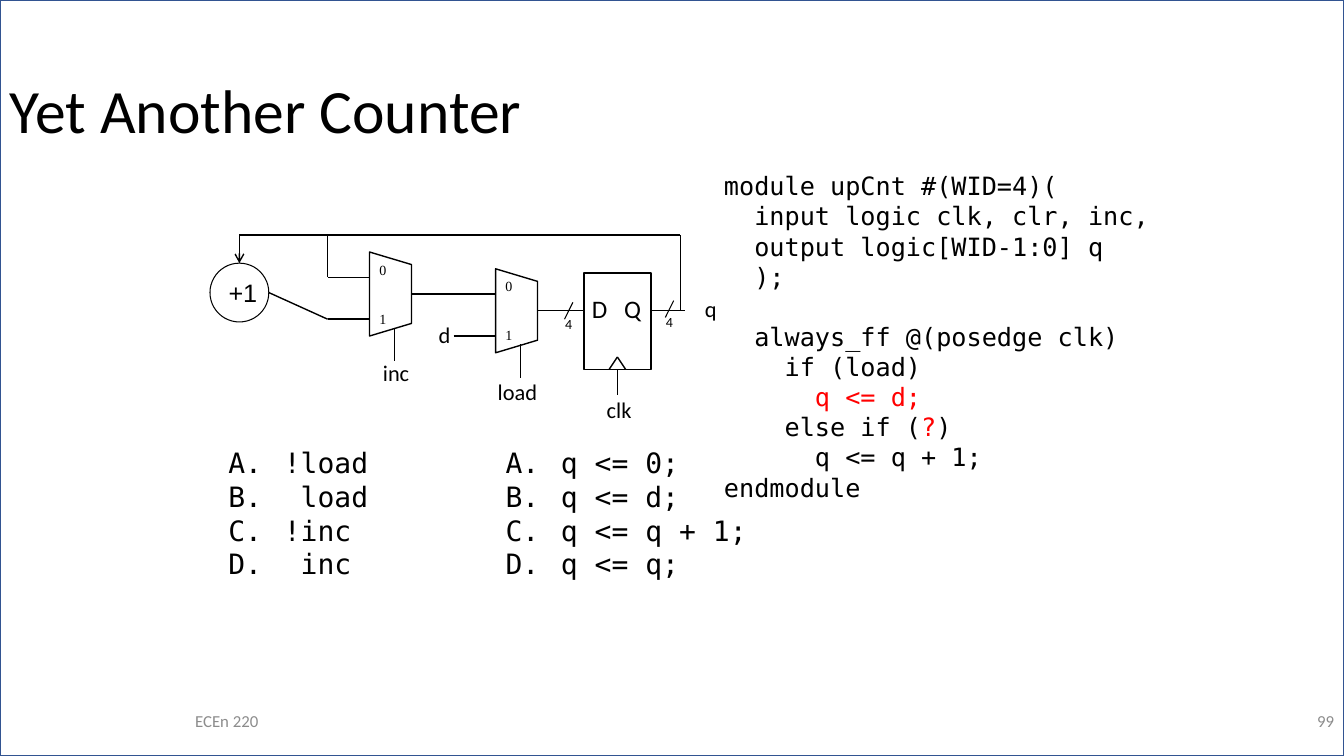
from dataclasses import dataclass
from typing import Optional

import pptx
import pptx.dml.color
import pptx.enum.shapes
import pptx.enum.text
import pptx.oxml.ns
import pptx.util
from lxml import etree

MONO, SANS = "DejaVu Sans Mono", "Calibri"
BLACK, RED, GREY, BLUE, WHITE = "000000", "FF0000", "8C8C8C", "325491", "FFFFFF"
ALIGN = pptx.enum.text.PP_ALIGN
MIDDLE = pptx.enum.text.MSO_ANCHOR.MIDDLE
SHAPE = pptx.enum.shapes.MSO_SHAPE

# The slide is a grid of 160 columns by 90 rows
prs = pptx.Presentation()
prs.slide_width = pptx.util.Inches(13.333)
prs.slide_height = pptx.util.Inches(7.5)
CELL = prs.slide_height / 90
s = prs.slides.add_slide(prs.slide_layouts[6])


@dataclass
class Label:
    text: str
    x: float
    y: float
    w: float
    h: float
    size: float = 16
    color: str = BLACK
    align: Optional[ALIGN] = ALIGN.CENTER
    wrap: bool = False
    middle: bool = False
    spacing: Optional[float] = None


@dataclass
class Mux:
    x: float
    y: float
    out: float


@dataclass
class Choices:
    x: float
    items: list[str]


def grid(n: float) -> int:
    return round(n * CELL)


def rgb(color: str) -> pptx.dml.color.RGBColor:
    return pptx.dml.color.RGBColor.from_string(color)


def add_run(p, text: str, size: float, font: str = SANS, color: str = BLACK) -> None:
    r = p.add_run()
    r.text = text
    r.font.size = pptx.util.Pt(size)
    r.font.name = font
    r.font.color.rgb = rgb(color)


def paragraph(tf, first: bool):
    return tf.paragraphs[0] if first else tf.add_paragraph()


def text_box(x: float, y: float, w: float, h: float, wrap: bool = False):
    tf = s.shapes.add_textbox(grid(x), grid(y), grid(w), grid(h)).text_frame
    tf.word_wrap = wrap
    return tf


def add_label(label: Label) -> None:
    tf = text_box(label.x, label.y, label.w, label.h, label.wrap)
    if label.middle:
        tf.vertical_anchor = MIDDLE
    p = tf.paragraphs[0]
    p.alignment = label.align
    if label.spacing:
        p.line_spacing = label.spacing
    add_run(p, label.text, label.size, color=label.color)


def style(sp, fill: Optional[str], line: str, width: float) -> None:
    sp.shadow.inherit = False
    if fill:
        sp.fill.solid()
        sp.fill.fore_color.rgb = rgb(fill)
    else:
        sp.fill.background()
    sp.line.color.rgb = rgb(line)
    sp.line.width = pptx.util.Pt(width)


def add_block(kind: SHAPE, x: float, y: float, w: float, h: float,
              fill: Optional[str] = WHITE, line: str = BLACK, width: float = 1):
    sp = s.shapes.add_shape(kind, grid(x), grid(y), grid(w), grid(h))
    style(sp, fill, line, width)
    return sp


def add_wire(x1: float, y1: float, x2: float, y2: float, width: float = 1, arrow: bool = False):
    c = s.shapes.add_connector(pptx.enum.shapes.MSO_CONNECTOR.STRAIGHT,
                               grid(x1), grid(y1), grid(x2), grid(y2))
    c.line.color.rgb = rgb(BLACK)
    c.line.width = pptx.util.Pt(width)
    if arrow:
        etree.SubElement(c.line._get_or_add_ln(), pptx.oxml.ns.qn("a:tailEnd"), type="arrow")
    etree.SubElement(c._element.spPr, pptx.oxml.ns.qn("a:effectLst"))
    return c


def add_bus_mark(x: float, y: float) -> None:
    add_wire(x + 1, y, x, y + 2, width=0.75)
    add_label(Label("4", x - 1.1, y + 0.95, 3.4, 3.2, size=10, align=None))


def add_mux(m: Mux) -> None:
    fb = s.shapes.build_freeform(grid(m.x), grid(m.y))
    corners = [(5, 1.5), (5, 8.5), (0, 10)]
    fb.add_line_segments([(grid(m.x + dx), grid(m.y + dy)) for dx, dy in corners], close=True)
    sp = fb.convert_to_shape()
    style(sp, None, BLACK, 1)
    tf = sp.text_frame
    tf.word_wrap = False
    tf.vertical_anchor = MIDDLE
    for i, dy in enumerate((3, 8)):
        p = paragraph(tf, i == 0)
        p.alignment = ALIGN.LEFT
        if i:
            p.space_before = pptx.util.Pt(23)
        add_run(p, str(i), 10, "Times New Roman")
        add_wire(m.x - 5, m.y + dy, m.x, m.y + dy)
    add_wire(m.x + 5, m.y + 5, m.x + 5 + m.out, m.y + 5)
    add_wire(m.x + 3, m.y + 9, m.x + 3, m.y + 13)


def add_choices(c: Choices) -> None:
    tf = text_box(c.x, 52.5, 32, 17.4, wrap=True)
    for i, item in enumerate(c.items):
        p = paragraph(tf, i == 0)
        pPr = p._p.get_or_add_pPr()
        indent = pptx.util.Inches(0.55)
        pPr.set("marL", str(indent))
        pPr.set("indent", str(-indent))
        etree.SubElement(pPr, pptx.oxml.ns.qn("a:buFont"), typeface=MONO)
        etree.SubElement(pPr, pptx.oxml.ns.qn("a:buAutoNum"), type="alphaUcPeriod")
        add_run(p, item, 20, MONO)


# Frame, title and footer
add_block(SHAPE.RECTANGLE, 0, 0, 160, 90, fill=None, line=BLUE)
for label in (
    Label("Yet Another Counter", 0, 4.8, 138, 17.4, size=44, align=None,
          wrap=True, middle=True, spacing=0.9),
    Label("ECEn 220", 0, 83.4, 54, 4.8, size=12, color=GREY, wrap=True, middle=True),
    Label("99", 124, 83.4, 36, 4.8, size=12, color=GREY, align=ALIGN.RIGHT,
          wrap=True, middle=True),
):
    add_label(label)

# Code listing: each line is a list of (text, colour) pieces
CODE = [
    [("module upCnt #(WID=4)(", BLACK)],
    [("  input logic clk, clr, inc,", BLACK)],
    [("  output logic[WID-1:0] q", BLACK)],
    [("  );", BLACK)],
    [("  always_ff @(posedge clk)", BLACK)],
    [("    if (load)", BLACK)],
    [("      ", BLACK), ("q <= d;", RED)],
    [("    else if (", BLACK), ("?", RED), (")", BLACK)],
    [("      q <= q + 1;", BLACK)],
    [("endmodule", BLACK)],
]
tf = text_box(85, 19.7, 53, 41.2)
for i, pieces in enumerate(CODE):
    p = paragraph(tf, i == 0)
    if i == 4:
        p.space_before = pptx.util.Pt(21)
    for text, color in pieces:
        add_run(p, text, 18, MONO, color)

# Register with its clock input
register = add_block(SHAPE.RECTANGLE, 69.5, 32.5, 8, 11.5)
tf = register.text_frame
tf.vertical_anchor = pptx.enum.text.MSO_ANCHOR.TOP
tf.margin_left, tf.margin_right = pptx.util.Inches(0.08), 0
tf.margin_top = pptx.util.Inches(0.2)
p = tf.paragraphs[0]
p.alignment = ALIGN.LEFT
tabs = etree.SubElement(p._p.get_or_add_pPr(), pptx.oxml.ns.qn("a:tabLst"))
etree.SubElement(tabs, pptx.oxml.ns.qn("a:tab"), pos=str(pptx.util.Inches(0.32)), algn="l")
add_run(p, "D\tQ", 18)
for x in (72.5, 74.5):
    add_wire(73.5, 42.5, x, 44)
add_wire(73.5, 44, 73.5, 47).begin_connect(register, 2)

# Multiplexers and bus widths
for m in (Mux(44, 30, out=5), Mux(59, 32, out=5.5)):
    add_mux(m)
add_wire(77.5, 37, 81.5, 37)
add_bus_mark(79.2, 35.8)
add_bus_mark(67.2, 36)

# Incrementer and feedback path
adder = add_block(SHAPE.OVAL, 25, 31.33, 7, 7, width=0.75)
adder.text_frame.word_wrap = False
adder.text_frame.vertical_anchor = MIDDLE
adder.text_frame.paragraphs[0].alignment = ALIGN.LEFT
add_run(adder.text_frame.paragraphs[0], "+1", 18, "Arial")
add_wire(81, 37, 81, 28)
add_wire(81, 28, 28.5, 28)
add_wire(28.5, 28, 28.5, 31.33, arrow=True).end_connect(adder, 0)
add_wire(39, 28, 39, 33)
add_wire(32, 34.83, 39, 38)

# Signal names
for label in (
    Label("q", 82.5, 34.6, 4, 4.4, align=ALIGN.RIGHT),
    Label("d", 51, 37.6, 3.8, 4.4, align=ALIGN.RIGHT),
    Label("clk", 71, 46.6, 5.4, 4.4),
    Label("load", 58, 44.4, 7.2, 4.4),
    Label("inc", 44.4, 42.2, 5.5, 4.4),
):
    add_label(label)

# Answer choices
add_choices(Choices(26, ["!load", " load", "!inc", " inc"]))
add_choices(Choices(59, ["q <= 0;", "q <= d;", "q <= q + 1;", "q <= q;"]))

prs.save("out.pptx")
